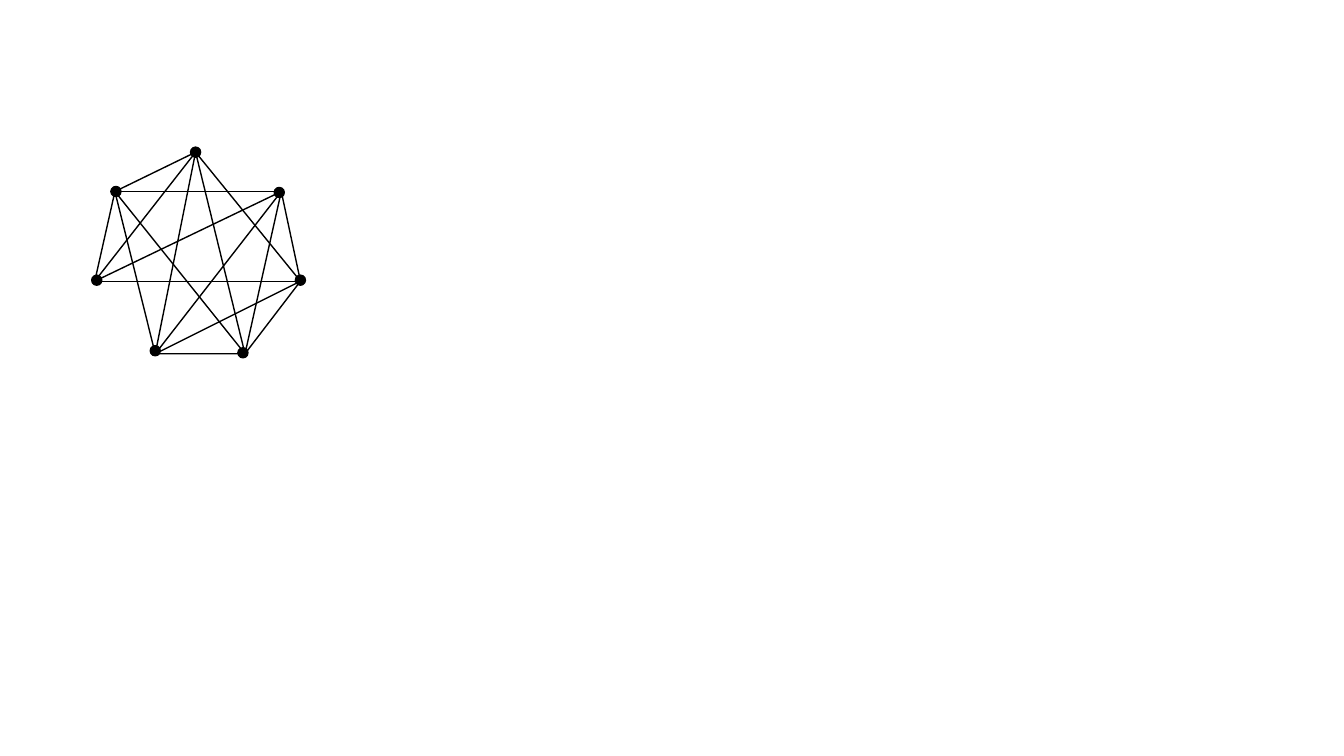
from pptx import Presentation
from pptx.dml.color import RGBColor
from pptx.enum.shapes import MSO_CONNECTOR as Connector, MSO_SHAPE as Shape
from pptx.oxml.ns import qn
from pptx.util import Inches, Pt
from lxml.etree import SubElement

COLORS = {"ink": "000000"}
DOT_SIZE = 0.1

# Graph corners, relative to the left top of the graph's box
CORNERS = {
    "top": (1.03, 0.05),
    "upper right": (1.88, 0.44),
    "right": (2.07, 1.33),
    "lower right": (1.52, 2.05),
    "lower left": (0.63, 2.05),
    "left": (0.03, 1.33),
    "upper left": (0.23, 0.44),
}

# Left top of each dot, relative to the same box
DOTS = [(1.81, 0.4), (0.98, 0), (0.19, 0.39), (0, 1.27),
        (0.58, 1.97), (1.45, 1.99), (2.02, 1.27)]

OUTLINE = ["upper right", "right", "lower right", "lower left"]

EDGES_BELOW_DOTS = [
    ("left", "top"),
    ("upper right", "upper left"),
    ("right", "lower left"),
    ("lower right", "top"),
    ("lower left", "upper right"),
    ("left", "upper left"),
    ("upper right", "lower right"),
    ("top", "lower left"),
    ("top", "upper left"),
    ("top", "right"),
    ("upper left", "lower right"),
]

EDGES_ABOVE_DOTS = [
    ("upper left", "lower left"),
    ("left", "right"),
    ("upper right", "left"),
]


def ink():
    return RGBColor.from_string(COLORS["ink"])


def style_line(shape):
    shape.line.color.rgb = ink()
    shape.line.width = Pt(1)


def add_outline(page, points):
    builder = page.shapes.build_freeform(*points[0], scale=1.0)
    builder.add_line_segments(points[1:], close=False)
    outline = builder.convert_to_shape()
    outline.shadow.inherit = False
    outline.fill.background()
    style_line(outline)


def add_edges(page, edges, corners):
    for start, end in edges:
        edge = page.shapes.add_connector(
            Connector.STRAIGHT, *corners[start], *corners[end])
        style_line(edge)
        SubElement(edge._element.spPr, qn("a:effectLst"))


def add_dot(page, left, top):
    size = Inches(DOT_SIZE)
    dot = page.shapes.add_shape(Shape.OVAL, left, top, size, size)
    dot.shadow.inherit = False
    dot.fill.solid()
    dot.fill.fore_color.rgb = ink()
    style_line(dot)


def draw_graph(page, left, top):
    def place(point):
        return Inches(left + point[0]), Inches(top + point[1])

    corners = {name: place(point) for name, point in CORNERS.items()}

    # Lower right part of the rim, then the edges under the dots
    add_outline(page, [corners[name] for name in OUTLINE])
    add_edges(page, EDGES_BELOW_DOTS, corners)

    # Vertices
    for dot in DOTS:
        add_dot(page, *place(dot))

    # Edges over the dots
    add_edges(page, EDGES_ABOVE_DOTS, corners)


def main():
    deck = Presentation()
    deck.slide_width = Inches(13.33)
    deck.slide_height = Inches(7.5)
    page = deck.slides.add_slide(deck.slide_layouts[6])
    draw_graph(page, 0.91, 1.46)
    deck.save("out.pptx")


if __name__ == "__main__":
    main()
